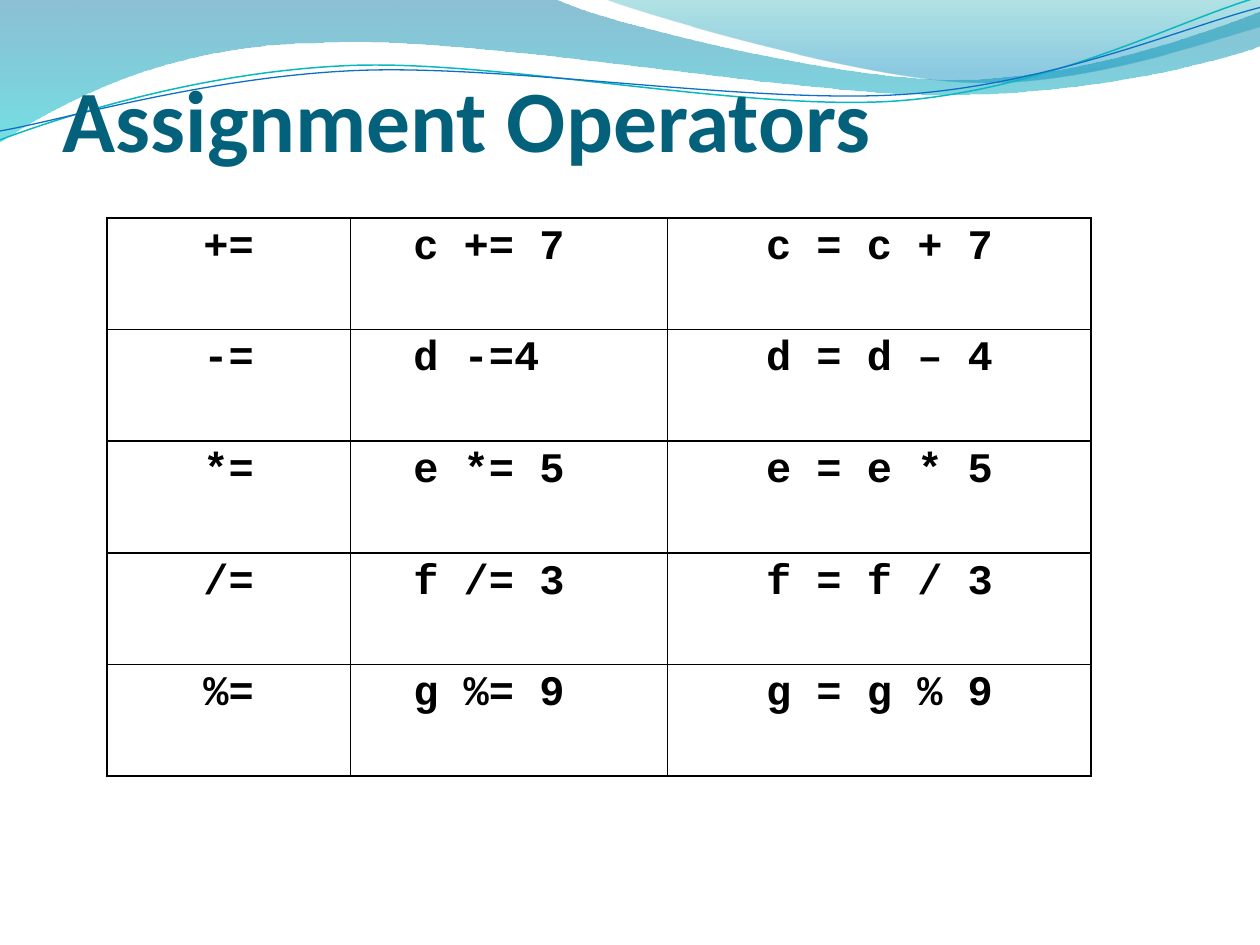
"""Build the Assignment Operators slide with its wave header and operator table."""
from math import cos, radians, sin
from lxml.etree import SubElement
from pptx import Presentation
from pptx.dml.color import RGBColor
from pptx.enum.text import MSO_ANCHOR as Anchor, PP_ALIGN as Align
from pptx.oxml.ns import qn
from pptx.util import Inches, Pt

THEME = {
    "title": {"name": "Calibri", "size": Pt(50), "bold": True, "color": "04617B"},
    "code": {"name": "Courier New", "size": Pt(24), "bold": True, "color": "000000"},
    "border": "000000",
    "border_width": Pt(1),
    "wave_dark": [(0, "0074A1", 45), (1, "00C6CF", 55)],
    "wave_light": [(0, "00A1A9", 30), (0.8, "008BBF", 45)],
    "line_teal": ("0AB8BF", 0.85),
    "line_blue": ("0F6FC6", 0.75),
}
TITLE = "Assignment Operators"
OPERATORS = [
    ("+=", "c += 7", "c = c + 7"),
    ("-=", "d -=4", "d = d – 4"),
    ("*=", "e *= 5", "e = e * 5"),
    ("/=", "f /= 3", "f = f / 3"),
    ("%=", "g %= 9", "g = g % 9"),
]
COLUMNS = [
    (1.93, Align.CENTER, 0.1),
    (2.52, Align.LEFT, 0.5),
    (3.36, Align.CENTER, 0.1),
]
TABLE_BOX = (0.85, 1.73, 7.81, 4.43)
BANDS = [
    ("wave_dark", [
        (0, -0.01), (4.4, -0.01),
        (4.76, 0.17, 6.64, 0.63, 7.58, 0.63), (8.53, 0.63, 9.58, 0.26, 10, 0.09),
        (10.01, 0.36),
        (9.83, 0.44, 8.7, 0.76, 7.46, 0.75), (6.22, 0.75, 3.82, 0.28, 2.57, 0.34),
        (1.29, 0.35, 0.46, 0.83, -0.01, 1.13),
    ]),
    ("wave_light", [
        (4.79, -0.01),
        (5.09, 0.11, 6.82, 0.62, 7.69, 0.65), (8.56, 0.69, 9.61, 0.32, 10, 0.21),
        (10, 0),
    ]),
]
LINES = [
    ("line_teal", (4.99, 0.58), [
        (0, 1.11),
        (0.48, 0.93, 1.58, 0.57, 2.77, 0.52), (3.95, 0.47, 5.93, 0.89, 7.13, 0.8),
        (8.33, 0.71, 9.38, 0.15, 9.98, -0.02),
    ]),
    ("line_blue", (5, 0.59), [
        (0, 1.04),
        (0.47, 0.96, 1.64, 0.61, 2.83, 0.56), (4.03, 0.51, 5.97, 0.83, 7.17, 0.75),
        (8.36, 0.67, 9.41, 0.21, 10, 0.06),
    ]),
]
LINE_TILT = -2.7


def turn(point, center, degrees):
    """Turn a point clockwise about a center."""
    x, y = point[0] - center[0], point[1] - center[1]
    cosine, sine = cos(radians(degrees)), sin(radians(degrees))
    return center[0] + x * cosine - y * sine, center[1] + x * sine + y * cosine


def add_outline(shapes, segments, close, center=(0, 0), tilt=0):
    """Add a freeform whose six-number segments are cubic curves."""
    points = [
        tuple(map(Inches, turn(segment[index:index + 2], center, -tilt)))
        for segment in segments for index in range(0, len(segment), 2)
    ]
    builder = shapes.build_freeform(*points[0])
    builder.add_line_segments(points[1:], close=close)
    shape = builder.convert_to_shape()
    shape.shadow.inherit = False
    shape.rotation = tilt
    outline = next(shape._element.iter(qn("a:path")))
    steps = iter(outline.findall(qn("a:lnTo")))
    for segment in segments[1:]:
        step = next(steps)
        if len(segment) == 6:
            step.tag = qn("a:cubicBezTo")
            for _ in range(2):
                control = next(steps)
                step.append(control[0])
                outline.remove(control)
    return shape


def add_band(shapes, stops, segments):
    """Add a wave filled with a translucent vertical gradient."""
    shape = add_outline(shapes, segments, True)
    shape.line.fill.background()
    shape.fill.gradient()
    shape.fill.gradient_angle = 270
    for stop, (position, color, _) in zip(shape.fill.gradient_stops, stops):
        stop.position = position
        stop.color.rgb = RGBColor.from_string(color)
    colors = shape._element.spPr.find(qn("a:gradFill")).iter(qn("a:srgbClr"))
    for color, (_, _, opacity) in zip(list(colors), stops):
        SubElement(color, qn("a:alpha"), val=str(opacity * 1000))


def add_line(shapes, style, center, segments):
    """Add a thin, slightly tilted open curve."""
    color, width = style
    shape = add_outline(shapes, segments, False, center, LINE_TILT)
    shape.fill.background()
    shape.line.color.rgb = RGBColor.from_string(color)
    shape.line.width = Pt(width)


def write(text_frame, text, style, alignment):
    """Write one styled paragraph."""
    paragraph = text_frame.paragraphs[0]
    paragraph.alignment = alignment
    run = paragraph.add_run()
    run.text = text
    for name in ("name", "size", "bold"):
        setattr(run.font, name, style[name])
    run.font.color.rgb = RGBColor.from_string(style["color"])


def add_title(slide):
    """Add the bottom-anchored title."""
    text_frame = slide.shapes.add_textbox(*map(Inches, (0.5, 0.3, 9, 1.05))).text_frame
    formats = {
        "word_wrap": True, "vertical_anchor": Anchor.BOTTOM, "margin_left": 0,
        "margin_right": 0, "margin_top": Inches(0.05), "margin_bottom": 0,
    }
    for name, value in formats.items():
        setattr(text_frame, name, value)
    write(text_frame, TITLE, THEME["title"], Align.LEFT)


def add_borders(cell):
    """Draw all four sides of a cell."""
    properties = cell._tc.get_or_add_tcPr()
    for index, side in enumerate(("a:lnL", "a:lnR", "a:lnT", "a:lnB")):
        line = SubElement(properties, qn(side), w=str(THEME["border_width"]))
        SubElement(SubElement(line, qn("a:solidFill")), qn("a:srgbClr"), val=THEME["border"])
        properties.insert(index, line)


def add_operator_table(slide):
    """Add the bordered table of operators."""
    table = slide.shapes.add_table(
        len(OPERATORS), len(COLUMNS), *map(Inches, TABLE_BOX)
    ).table
    table.first_row = table.horz_banding = False
    for column, (width, _, _) in zip(table.columns, COLUMNS):
        column.width = Inches(width)
    for row, texts in zip(table.rows, OPERATORS):
        for cell, text, (_, alignment, margin) in zip(row.cells, texts, COLUMNS):
            cell.fill.background()
            cell.margin_left = Inches(margin)
            add_borders(cell)
            write(cell.text_frame, text, THEME["code"], alignment)


def main():
    """Build and save the presentation."""
    presentation = Presentation()
    presentation.slide_width, presentation.slide_height = Inches(10), Inches(7.5)
    slide = presentation.slides.add_slide(presentation.slide_layouts[6])
    for name, segments in BANDS:
        add_band(slide.shapes, THEME[name], segments)
    line_group = slide.shapes.add_group_shape()
    for name, center, segments in LINES:
        add_line(line_group.shapes, THEME[name], center, segments)
    add_title(slide)
    add_operator_table(slide)
    presentation.save("out.pptx")


if __name__ == "__main__":
    main()
